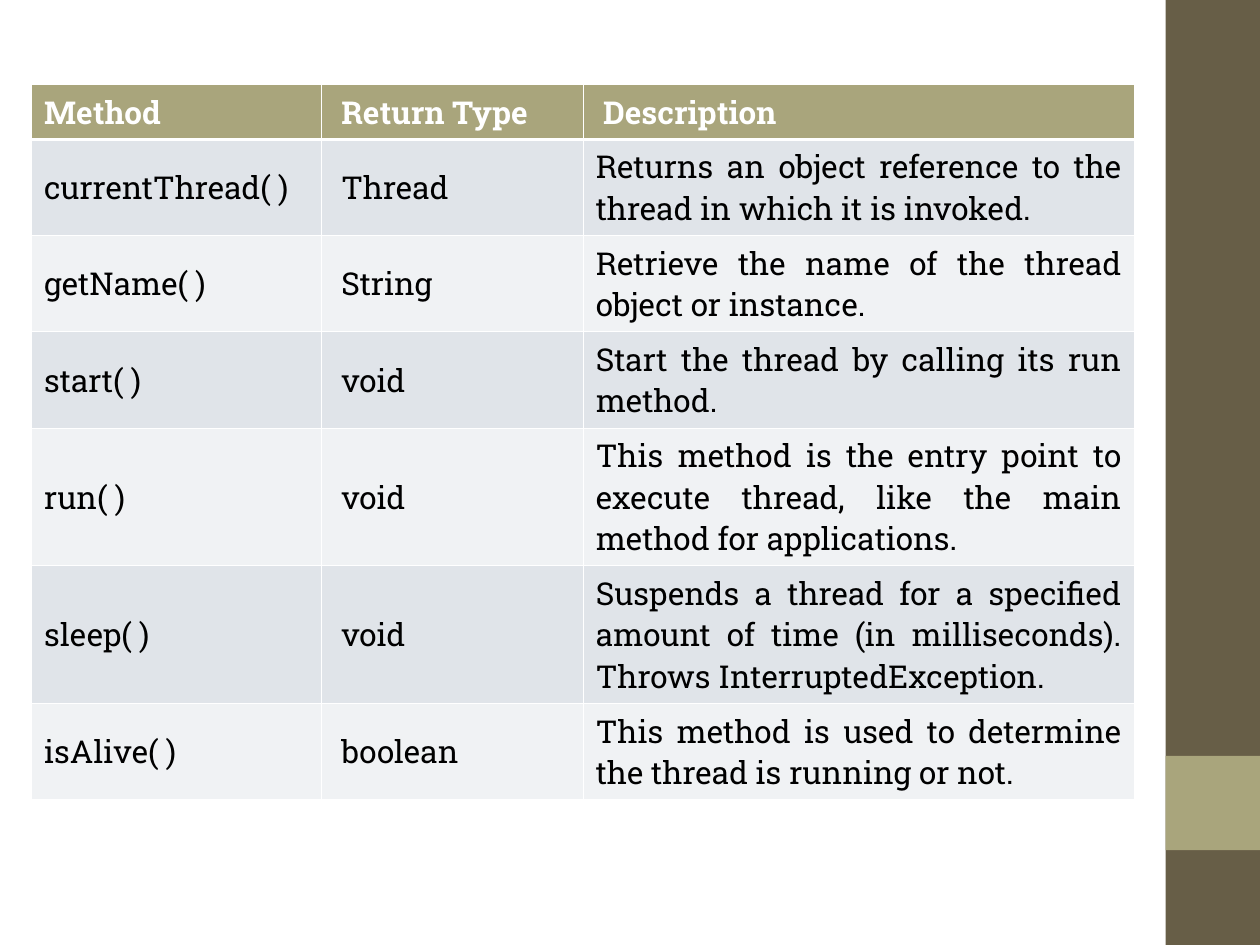
"""Build a slide with a table of thread methods and a coloured side band."""
from lxml.etree import SubElement
from pptx import Presentation
from pptx.dml.color import RGBColor
from pptx.enum.shapes import MSO_SHAPE
from pptx.enum.text import MSO_ANCHOR, PP_ALIGN
from pptx.oxml.ns import qn
from pptx.util import Cm, Pt

COLORS = {
    "band": "675E47",
    "accent": "A9A57C",
    "odd": "E0E4E9",
    "even": "F0F2F4",
    "white": "FFFFFF",
    "black": "000000",
}
ROWS = [
    ("Method", "Return Type", "Description"),
    ("currentThread( )", "Thread",
     "Returns an object reference to the thread in which it is invoked."),
    ("getName( )", "String", "Retrieve the name of the thread object or instance."),
    ("start( )", "void", "Start the thread by calling its run method."),
    ("run( )", "void",
     "This method is the entry point to execute thread, like the main method for applications."),
    ("sleep( )", "void",
     "Suspends a thread for a specified amount of time (in milliseconds). "
     "Throws InterruptedException."),
    ("isAlive( )", "boolean",
     "This method is used to determine the thread is running or not."),
]
COLUMN_WIDTHS = [5.84, 5.28, 11.1]
ROW_HEIGHTS = [1.02, 1.78, 1.78, 1.78, 2.54, 2.54, 1.78]


def write_cell(cell, text, *, color, bold=False, indent=0):
    cell.vertical_anchor = MSO_ANCHOR.MIDDLE
    cell.margin_left = Cm(0.25 + indent)
    cell.margin_right = Cm(0.25)
    cell.margin_top = cell.margin_bottom = Cm(0.13)
    para = cell.text_frame.paragraphs[0]
    para.alignment = PP_ALIGN.JUSTIFY
    span = para.add_run()
    span.text = text
    span.font.name = "Roboto Slab"
    span.font.size = Pt(18)
    span.font.bold = bold
    span.font.color.rgb = RGBColor.from_string(COLORS[color])


def draw_borders(cell, widths):
    properties = cell._tc.get_or_add_tcPr()
    for side, width in widths.items():
        line = SubElement(properties, qn(f"a:ln{side}"), w=str(Pt(width)))
        fill = SubElement(line, qn("a:solidFill"))
        SubElement(fill, qn("a:srgbClr"), val=COLORS["white"])


deck = Presentation()
deck.slide_width = Cm(25.4)
deck.slide_height = Cm(19.05)
page = deck.slides.add_slide(deck.slide_layouts[6])

for top, height, color in [(0, 19.05, "band"), (15.24, 1.9, "accent")]:
    box = page.shapes.add_shape(MSO_SHAPE.RECTANGLE, Cm(23.5), Cm(top), Cm(1.9), Cm(height))
    box.shadow.inherit = False
    box.fill.solid()
    box.fill.fore_color.rgb = RGBColor.from_string(COLORS[color])
    box.line.fill.background()

table = page.shapes.add_table(
    len(ROWS), len(COLUMN_WIDTHS), Cm(0.64), Cm(1.71),
    Cm(sum(COLUMN_WIDTHS)), Cm(sum(ROW_HEIGHTS)),
).table
for column, width in zip(table.columns, COLUMN_WIDTHS):
    column.width = Cm(width)
for row, height in zip(table.rows, ROW_HEIGHTS):
    row.height = Cm(height)

for row_index, texts in enumerate(ROWS):
    header = row_index == 0
    row_fill = "accent" if header else "odd" if row_index % 2 else "even"
    borders = {
        "L": 0.45,
        "R": 0.45,
        "T": 1.47 if row_index == 1 else 0.45,
        "B": 1.47 if header else 0.45,
    }
    for column_index, text in enumerate(texts):
        cell = table.cell(row_index, column_index)
        indented = column_index == 1 or (header and column_index == 2)
        write_cell(cell, text, color="white" if header else "black",
                   bold=header, indent=0.15 if indented else 0)
        draw_borders(cell, borders)
        cell.fill.solid()
        cell.fill.fore_color.rgb = RGBColor.from_string(COLORS[row_fill])

deck.save("out.pptx")
